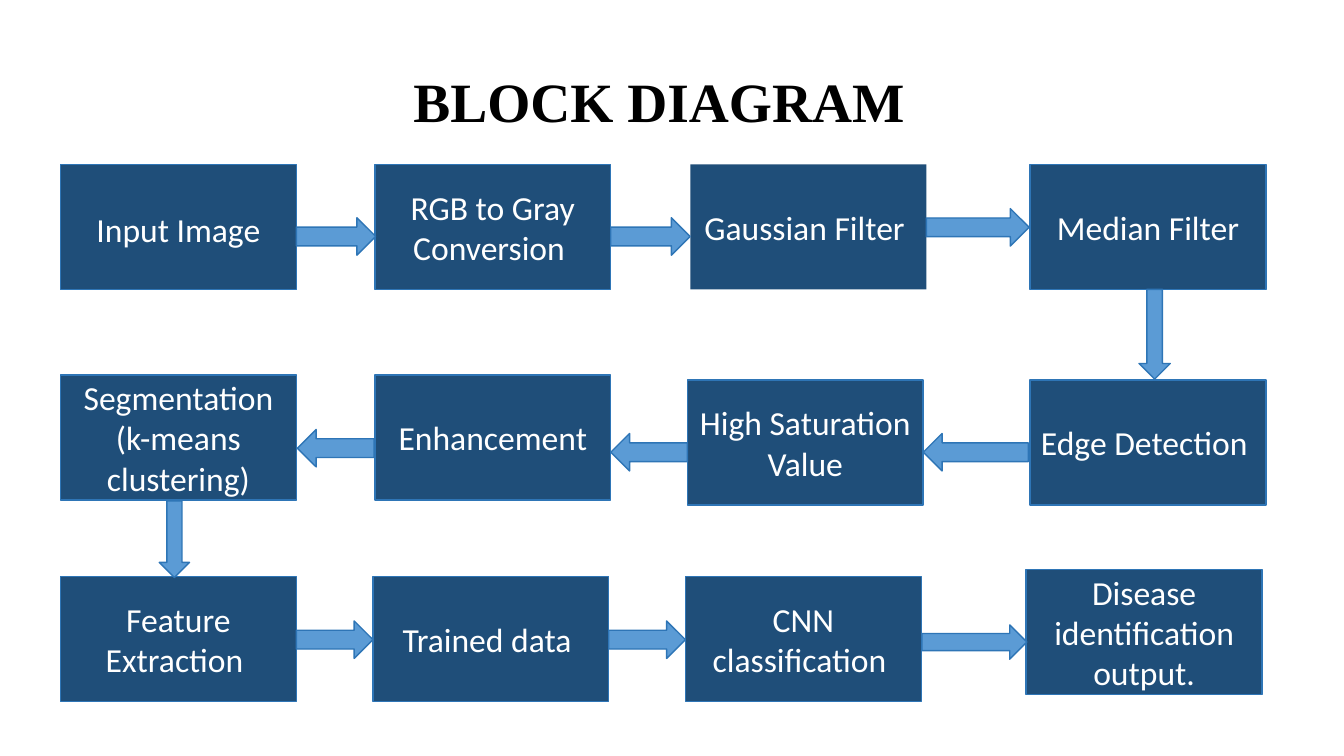
from pptx import Presentation
from pptx.dml.color import RGBColor as RGB
from pptx.enum.shapes import MSO_SHAPE as Kind
from pptx.enum.text import MSO_ANCHOR as Anchor, MSO_AUTO_SIZE as Fit, PP_ALIGN as Align
from pptx.util import Pt

HUES = {"box": "1F4E79", "edge": "2E75B6", "arrow": "5B9BD5",
        "light": "FFFFFF", "dark": "000000"}
BOX_W, BOX_H = 168.5, 89.3

# Steps by row: left, top, label
STEPS = [
    (43.2, 117.4, "Input Image"),
    (267.8, 117.4, "RGB to Gray Conversion "),
    (493.2, 117.4, "Gaussian Filter "),
    (735.8, 117.4, "Median Filter"),
    (735.8, 271.4, "Edge Detection "),
    (491, 271.4, "High Saturation Value"),
    (267.8, 267.8, "Enhancement"),
    (43.2, 267.8, "Segmentation\n(k-means clustering)"),
    (43.2, 411.8, "Feature Extraction "),
    (266.4, 411.8, "Trained data "),
    (489.6, 411.8, "CNN classification "),
    (733, 406.8, "Disease identification output."),
]

# Arrows in flow order: left, top, width, height, turn
ARROWS = [
    (211.7, 155.5, 56.7, 26.8, 0),
    (436.3, 155.5, 56.7, 26.8, 0),
    (661.7, 149, 73.4, 26.8, 0),
    (659.5, 309.6, 75, 26.8, 180),
    (436.3, 309.6, 54.7, 26.8, 180),
    (212.4, 306.7, 54.7, 26.8, 180),
    (97.2, 374.4, 54.7, 21.6, 90),
    (211.7, 443.5, 54.7, 26.8, 0),
    (434.9, 443.5, 54.7, 26.8, 0),
    (658.5, 446.4, 75, 24.5, 0),
]


def hue(name):
    return RGB.from_string(HUES[name])


def style(font, name, size, tint):
    font.name, font.size = name, Pt(size)
    font.color.rgb = hue(tint)


def add_head(slide, text):
    head = slide.shapes.title
    head.left, head.top = Pt(25.9), Pt(52.6)
    head.width, head.height = Pt(828), Pt(44.6)
    frame = head.text_frame
    frame.text = text
    frame.auto_size = Fit.NONE
    frame.vertical_anchor = Anchor.MIDDLE
    frame.margin_left = Pt(69)
    para = frame.paragraphs[0]
    para.alignment, para.line_spacing = Align.CENTER, 0.9
    style(para.font, "Times New Roman", 39.6, "dark")
    para.font.bold = True


def add_form(slide, kind, left, top, wide, high, fill):
    form = slide.shapes.add_shape(kind, Pt(left), Pt(top), Pt(wide), Pt(high))
    form.shadow.inherit = False
    form.fill.solid()
    form.fill.fore_color.rgb = hue(fill)
    form.line.color.rgb = hue("edge")
    form.line.width = Pt(1)
    return form


def add_step(slide, left, top, text):
    box = add_form(slide, Kind.RECTANGLE, left, top, BOX_W, BOX_H, "box")
    frame = box.text_frame
    frame.text = text
    frame.word_wrap = True
    frame.vertical_anchor = Anchor.MIDDLE
    for para in frame.paragraphs:
        para.alignment = Align.CENTER
        style(para.font, "Calibri", 24, "light")
    return box


def main():
    deck = Presentation()
    deck.slide_width, deck.slide_height = Pt(960), Pt(540)
    slide = deck.slides.add_slide(deck.slide_layouts[5])
    add_head(slide, "BLOCK DIAGRAM")

    # Process steps
    boxes = [add_step(slide, *step) for step in STEPS]
    boxes[0].text_frame.paragraphs[0].line_spacing = 1.1
    boxes[2].line.fill.background()

    # Flow arrows
    for *place, turn in ARROWS:
        arrow = add_form(slide, Kind.RIGHT_ARROW, *place, "arrow")
        arrow.rotation = turn
    add_form(slide, Kind.DOWN_ARROW, 813.6, 206.7, 22.3, 64.1, "arrow")

    deck.save("out.pptx")


if __name__ == "__main__":
    main()
